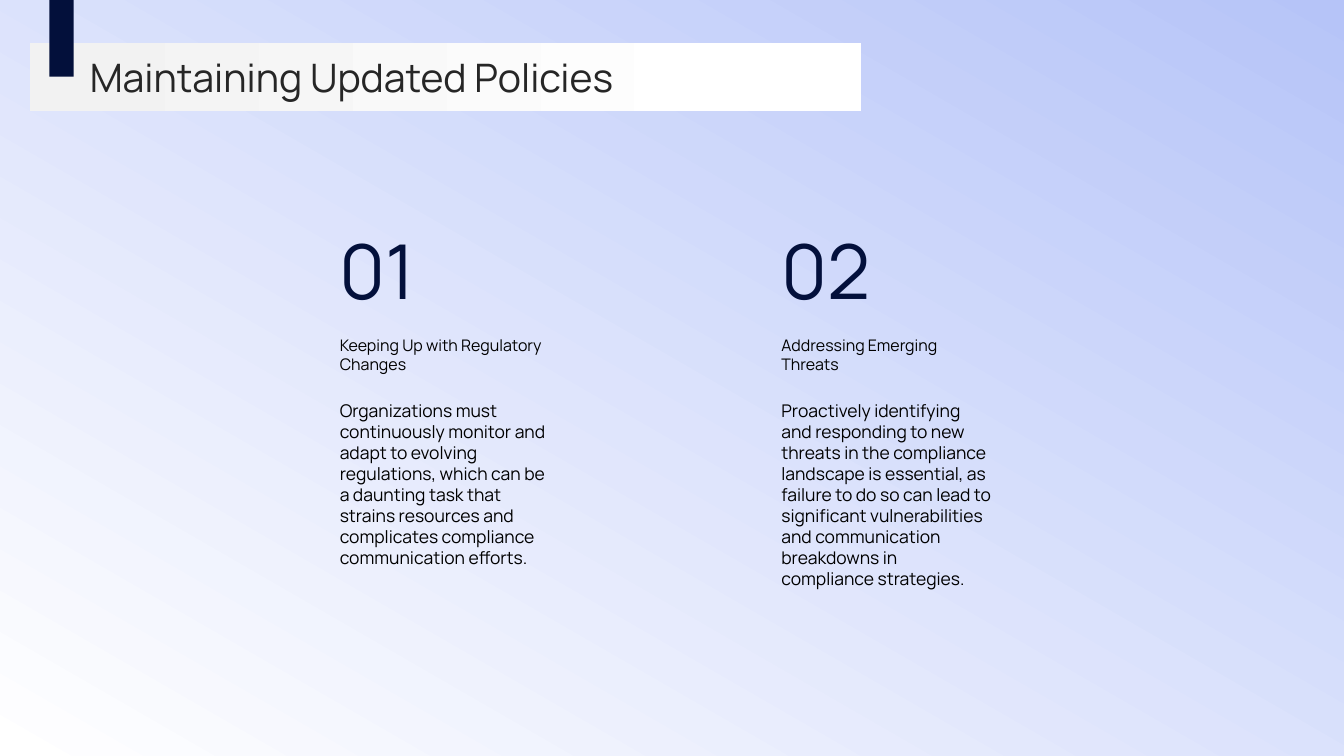
from pptx import Presentation
from pptx.dml.color import RGBColor
from pptx.enum.shapes import MSO_SHAPE
from pptx.enum.text import MSO_ANCHOR, MSO_AUTO_SIZE, PP_ALIGN
from pptx.util import Inches, Pt

RECT = MSO_SHAPE.RECTANGLE
TOP, MIDDLE = MSO_ANCHOR.TOP, MSO_ANCHOR.MIDDLE
LEFT = PP_ALIGN.LEFT
FIXED = MSO_AUTO_SIZE.NONE
WIDE, HIGH = 13.33, 7.5
COLORS = {"navy": "03103B", "sky": "B6C4F8", "white": "FFFFFF",
          "mist": "F2F2F2", "black": "000000", "ink": "262626"}
POINTS = [
    (3.37, "01", "Keeping Up with Regulatory Changes",
     "Organizations must continuously monitor and adapt to evolving "
     "regulations, which can be a daunting task that strains resources "
     "and complicates compliance communication efforts."),
    (7.75, "02", "Addressing Emerging Threats",
     "Proactively identifying and responding to new threats in the "
     "compliance landscape is essential, as failure to do so can lead to "
     "significant vulnerabilities and communication breakdowns in "
     "compliance strategies."),
]


def color(name):
    """Return the named colour."""
    return RGBColor.from_string(COLORS[name])


def write(shape, text, size=12.5, ink="black", font="Manrope", anchor=TOP):
    """Put formatted text in a shape."""
    frame = shape.text_frame
    frame.text = text
    frame.word_wrap = True
    frame.auto_size = FIXED
    frame.vertical_anchor = anchor
    frame.margin_left = frame.margin_right = 0
    frame.margin_top = frame.margin_bottom = 0
    line = frame.paragraphs[0]
    line.alignment = LEFT
    style = line.runs[0].font
    style.name, style.size = font, Pt(size)
    style.color.rgb = color(ink)


class Deck:
    """Hold the style and the current slide."""

    def __init__(self):
        """Start a deck with one titled slide."""
        self.show = Presentation()
        self.show.slide_width = Inches(WIDE)
        self.show.slide_height = Inches(HIGH)
        self.slide = self.show.slides.add_slide(self.show.slide_layouts[5])
        self.shapes = self.slide.shapes

    def block(self, box, fill):
        """Add a plain rectangle."""
        shape = self.shapes.add_shape(RECT, *map(Inches, box))
        shape.shadow.inherit = False
        shape.line.fill.background()
        shape.fill.solid()
        shape.fill.fore_color.rgb = color(fill)
        return shape

    def blend(self, box, stops, angle):
        """Add a rectangle with a linear gradient."""
        fill = self.block(box, stops[0][1]).fill
        fill.gradient()
        fill.gradient_angle = angle
        for stop, (place, name) in zip(fill.gradient_stops, stops):
            stop.position = place
            stop.color.rgb = color(name)

    def label(self, box, text, **style):
        """Add a text box."""
        write(self.shapes.add_textbox(*map(Inches, box)), text, **style)

    def title(self, box, text, **style):
        """Move the title to the front and fill it."""
        title = self.shapes.title
        title.left, title.top, title.width, title.height = map(Inches, box)
        title.element.getparent().append(title.element)
        write(title, text, **style)


def main():
    """Build the slide and save it."""
    deck = Deck()
    deck.blend((0, 0, WIDE, HIGH), [(0, "sky"), (1, "white")], 240)
    for left, number, head, body in POINTS:
        deck.label((left, 2.22, 1.53, 0.75), number, size=54, ink="navy")
        deck.label((left, 3.33, 2.09, 0.58), head, size=11.4)
        deck.label((left, 3.97, 2.09, 2.4), body)
    deck.blend((0.3, 0.43, 8.24, 0.67), [(0.05, "mist"), (0.84, "white")], 0)
    deck.block((0.49, 0, 0.24, 0.76), "navy")
    deck.title((0.89, 0.51, 11.7, 0.51), "Maintaining Updated Policies",
               size=28, ink="ink", anchor=MIDDLE)
    deck.show.save("out.pptx")


if __name__ == "__main__":
    main()
